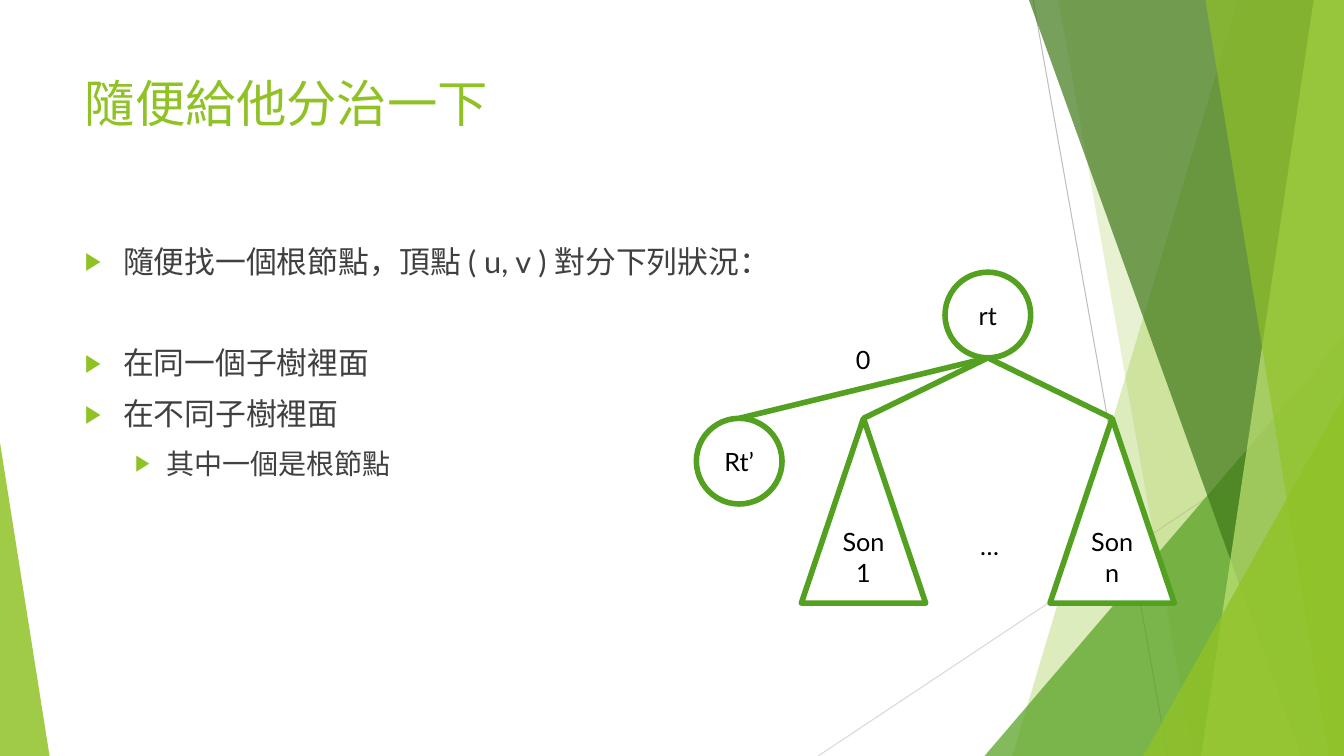
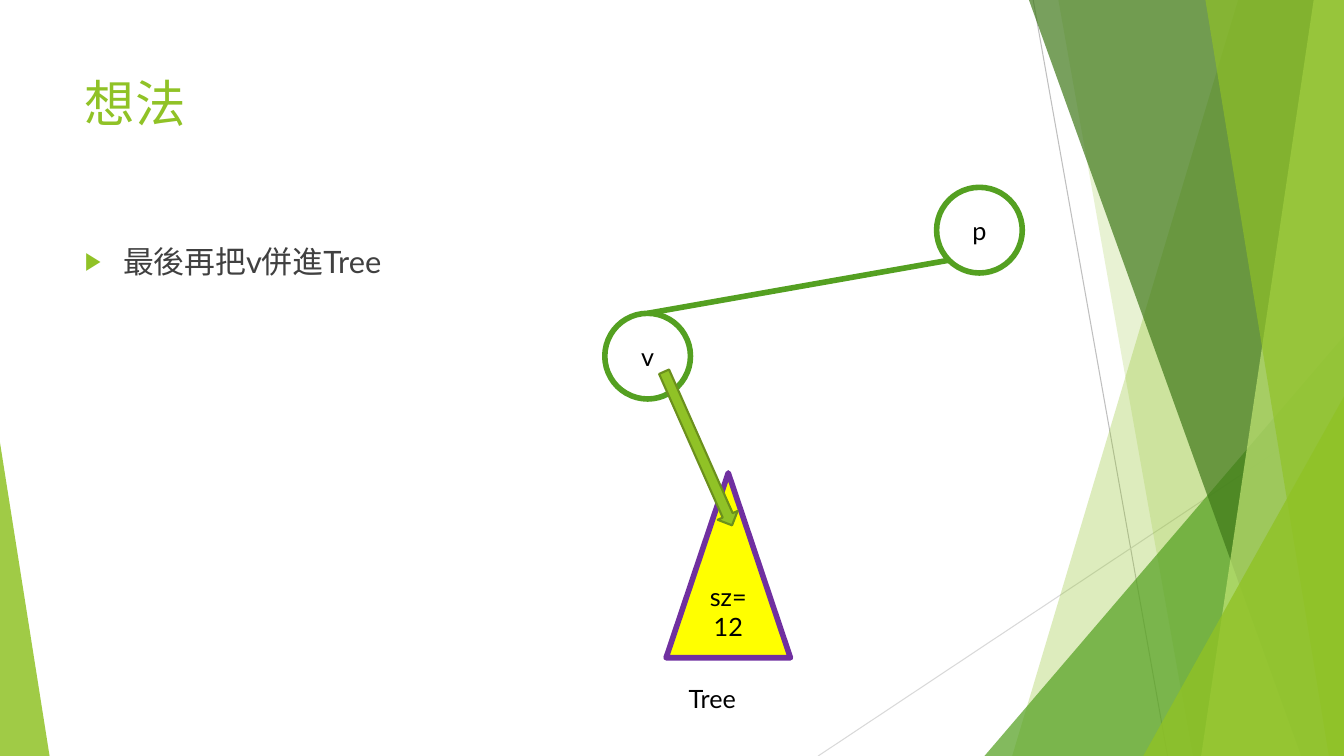
from dataclasses import dataclass

from lxml.etree import SubElement
from pptx import Presentation
from pptx.dml.color import RGBColor
from pptx.enum.shapes import MSO_CONNECTOR as Connector, MSO_SHAPE as Preset
from pptx.enum.text import MSO_ANCHOR as Anchor, MSO_AUTO_SIZE as AutoSize, PP_ALIGN as Align
from pptx.oxml.ns import qn
from pptx.util import Inches, Pt

# The slide is a grid of square cells
COLUMNS, ROWS = 16, 9
CELL = Inches(7.5) // ROWS


@dataclass(frozen=True)
class Theme:
    font: str = "Lato"
    lime: str = "90C226"
    green: str = "54A021"
    forest: str = "3F7819"
    pale: str = "C0E474"
    olive: str = "6B901C"
    purple: str = "7030A0"
    yellow: str = "FFFF00"
    white: str = "FFFFFF"
    black: str = "000000"
    ink: str = "404040"
    rule: str = "BFBFBF"
    faint_rule: str = "D9D9D9"
    title_size: int = 36
    list_sizes: tuple = (22, 20)
    label_size: int = 18
    stroke: float = 4


THEME = Theme()


def cells(*values):
    return [round(value * CELL) for value in values]


def rgb(color):
    return RGBColor.from_string(color)


def write(frame, text, size=THEME.label_size, color=THEME.black, align=Align.LEFT, before=0):
    """Add one paragraph to a text frame, using the empty first one if there is one."""
    paragraph = frame.add_paragraph() if frame.text else frame.paragraphs[0]
    paragraph.alignment = align
    paragraph.space_before = Pt(before)
    run = paragraph.add_run()
    run.text = text
    run.font.name = THEME.font
    run.font.size = Pt(size)
    run.font.color.rgb = rgb(color)
    return paragraph


def anchor(shape, across, down):
    """Point of a shape, in cells, from shares of its width and height."""
    return ((shape.left + across * shape.width) / CELL,
            (shape.top + down * shape.height) / CELL)


class Deck:
    node_size = 1.02
    tree_size = (1.48, 2.2)
    title_box = (0.89, 0.8, 11.28, 1.73)
    list_box = (0.89, 2.83, 11.28, 5.09)

    def __init__(self, theme):
        self.theme = theme
        self.presentation = Presentation()
        self.presentation.slide_width, self.presentation.slide_height = cells(COLUMNS, ROWS)
        self.layout = self.presentation.slide_layouts[1]
        self.slide = None

    # Slide, title and list
    def add_slide(self, title, items):
        self.slide = self.presentation.slides.add_slide(self.layout)
        if len(self.presentation.slides) == 1:
            self.add_backdrop()
        heading, body = self.slide.placeholders
        frame = self.prepare(heading, self.title_box)
        write(frame, title, self.theme.title_size, self.theme.lime)
        frame = self.prepare(body, self.list_box)
        for text, level, before in items:
            paragraph = write(frame, text, self.theme.list_sizes[level], self.theme.ink,
                              before=before)
            self.add_bullet(paragraph, level)

    def prepare(self, placeholder, box):
        placeholder.left, placeholder.top, placeholder.width, placeholder.height = cells(*box)
        frame = placeholder.text_frame
        frame.word_wrap = True
        frame.auto_size = AutoSize.NONE
        frame.vertical_anchor = Anchor.TOP
        return frame

    def add_bullet(self, paragraph, level):
        paragraph.level = level
        margin, hanging = [(0.38, 0.38), (0.81, 0.31)][level]
        properties = paragraph._p.get_or_add_pPr()
        properties.set("marL", str(Inches(margin)))
        properties.set("indent", str(-Inches(hanging)))
        color = SubElement(properties, qn("a:buClr"))
        SubElement(color, qn("a:srgbClr"), val=self.theme.lime)
        SubElement(properties, qn("a:buSzPct"), val="80000")
        SubElement(properties, qn("a:buChar"), char="▶")

    # Basic elements
    def paint(self, shape, fill, line=None, width=0, opacity=100):
        shape.shadow.inherit = False
        shape.fill.solid()
        shape.fill.fore_color.rgb = rgb(fill)
        if opacity < 100:
            color = shape.element.spPr.find(qn("a:solidFill"))[0]
            SubElement(color, qn("a:alpha"), val=str(opacity * 1000))
        if line:
            shape.line.color.rgb = rgb(line)
            shape.line.width = Pt(width)
        else:
            shape.line.fill.background()
        return shape

    def add_line(self, start, end, color=THEME.green, width=THEME.stroke):
        line = self.slide.shapes.add_connector(Connector.STRAIGHT, *cells(*start, *end))
        line.line.color.rgb = rgb(color)
        line.line.width = Pt(width)
        SubElement(line.element.spPr, qn("a:effectLst"))
        return line

    def add_shape(self, preset, box, fill, line, width=THEME.stroke, lines=()):
        shape = self.slide.shapes.add_shape(preset, *cells(*box))
        frame = shape.text_frame
        frame.vertical_anchor = Anchor.MIDDLE
        for text in lines:
            write(frame, text, align=Align.CENTER)
        return self.paint(shape, fill, line, width)

    def add_facet(self, points, color, opacity):
        first, *others = [cells(*point) for point in points]
        builder = self.slide.shapes.build_freeform(*first)
        builder.add_line_segments(others, close=True)
        return self.paint(builder.convert_to_shape(), color, opacity=opacity)

    # Parts of a tree drawing, placed by centre column and top row
    def add_node(self, center, top, text):
        size = self.node_size
        box = (center - size / 2, top, size, size)
        return self.add_shape(Preset.OVAL, box, self.theme.white, self.theme.green, lines=[text])

    def add_tree(self, center, top, lines, fill=THEME.white, line=THEME.green):
        width, height = self.tree_size
        box = (center - width / 2, top, width, height)
        return self.add_shape(Preset.ISOSCELES_TRIANGLE, box, fill, line, lines=lines)

    def add_label(self, center, top, text, width=0.42):
        box = self.slide.shapes.add_textbox(*cells(center - width / 2, top, width, 0.48))
        box.text_frame.word_wrap = False
        box.text_frame.auto_size = AutoSize.SHAPE_TO_FIT_TEXT
        write(box.text_frame, text)

    # Facets shared by all slides, kept on the layout
    def add_backdrop(self):
        theme = self.theme
        right, bottom = COLUMNS, ROWS
        shapes = [self.add_line((12.3, 0), (13.9, bottom), theme.rule, 0.75),
                  self.add_line((right, 4.84), (9.74, bottom), theme.faint_rule, 0.75)]

        def band(top_column, bottom_column):
            return [(top_column, 0), (right, 0), (right, bottom), (bottom_column, bottom)]

        def corner(row, column, edge=right):
            return [(edge, row), (edge, bottom), (column, bottom)]

        facets = [
            (band(14.74, 12.05), theme.lime, 30),
            (band(12.6, 14.2), theme.lime, 20),
            (corner(4, 11.72), theme.green, 72),
            (band(12.25, 15.49), theme.forest, 70),
            (band(15.64, 14.3), theme.pale, 70),
            (band(14.35, 15.82), theme.lime, 65),
            (corner(4.72, 13.61), theme.lime, 80),
            (corner(5.27, 0.59, edge=0), theme.lime, 85),
        ]
        shapes += [self.add_facet(*facet) for facet in facets]
        for number, shape in enumerate(shapes):
            shape.element.xpath(".//p:cNvPr")[0].set("id", str(100 + number))
            self.layout.shapes.element.insert(2 + number, shape.element)


deck = Deck(THEME)

# Slide 1: root with its subtrees, one step between neighbours
deck.add_slide("隨便給他分治一下", [
    ("隨便找一個根節點，頂點 ( u, v ) 對分下列狀況：", 0, 10),
    ("在同一個子樹裡面", 0, 46),
    ("在不同子樹裡面", 0, 10),
    ("其中一個是根節點", 1, 10),
])
middle, step, child_row = 11.76, 1.48, 4.98
root = deck.add_node(middle, 3.24, "rt")
children = [
    deck.add_node(middle - 2 * step, child_row, "Rt’"),
    deck.add_tree(middle - step, child_row, ["Son", "1"]),
    deck.add_tree(middle + step, child_row, ["Son", "n"]),
]
for child in children:
    deck.add_line(anchor(root, 0.5, 1), anchor(child, 0.5, 0))
deck.add_label(middle - step, 4.04, "0")
deck.add_label(middle, 6.25, "…")

# Slide 2: node v joins the tree
deck.add_slide("想法", [("最後再把v併進Tree", 0, 10)])
node = deck.add_node(7.71, 3.73, "v")
parent = deck.add_node(11.66, 2.23, "p")
deck.add_line(anchor(node, 0.5, 0), anchor(parent, 0.15, 0.85))
deck.add_tree(8.67, 5.63, ["sz=", "12"], THEME.yellow, THEME.purple)
arrow = deck.add_shape(Preset.RIGHT_ARROW, (7.31, 5.21, 2, 0.26), THEME.lime, THEME.olive, 1.5)
arrow.rotation = 66.1
deck.add_label(8.5, 8.08, "Tree", width=0.84)

deck.presentation.save("out.pptx")
